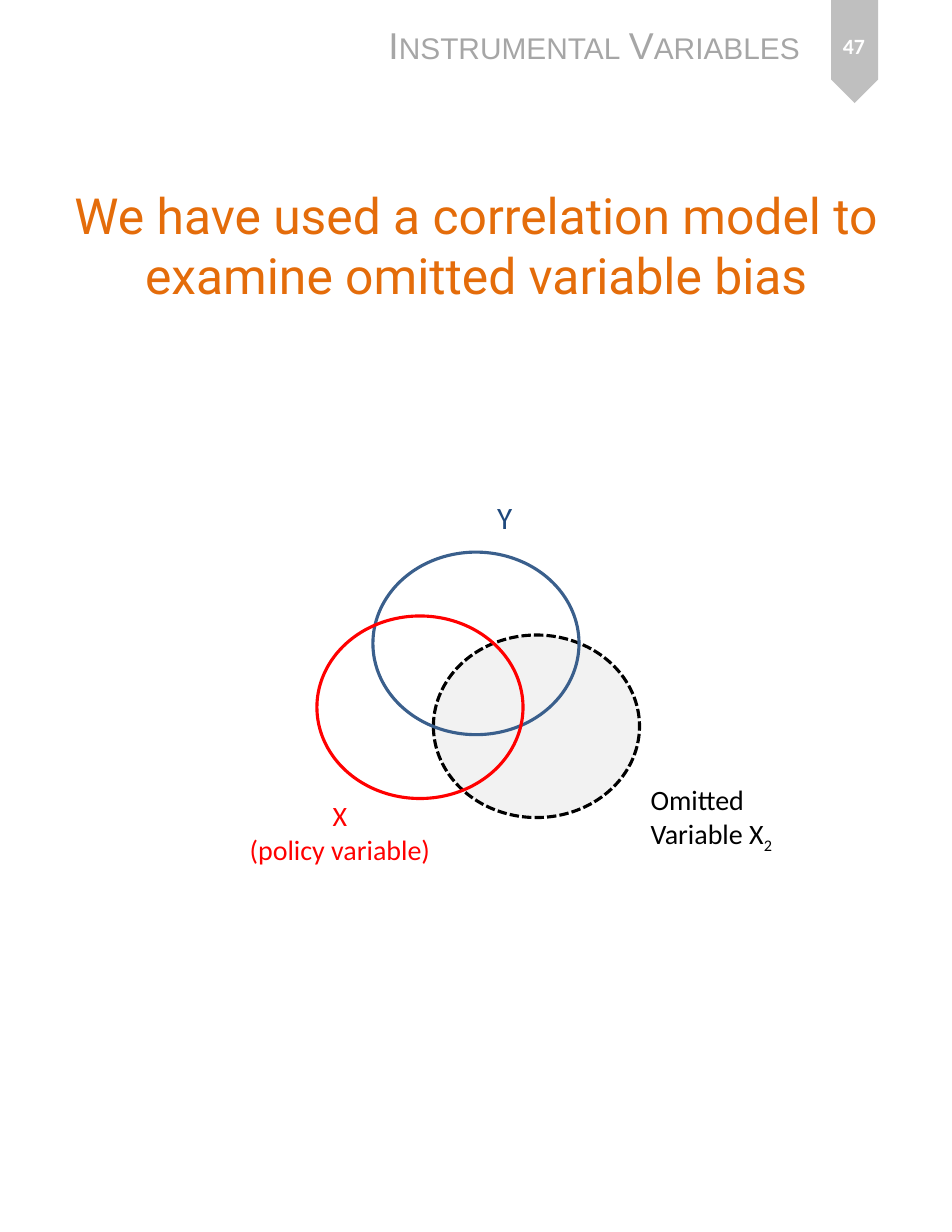
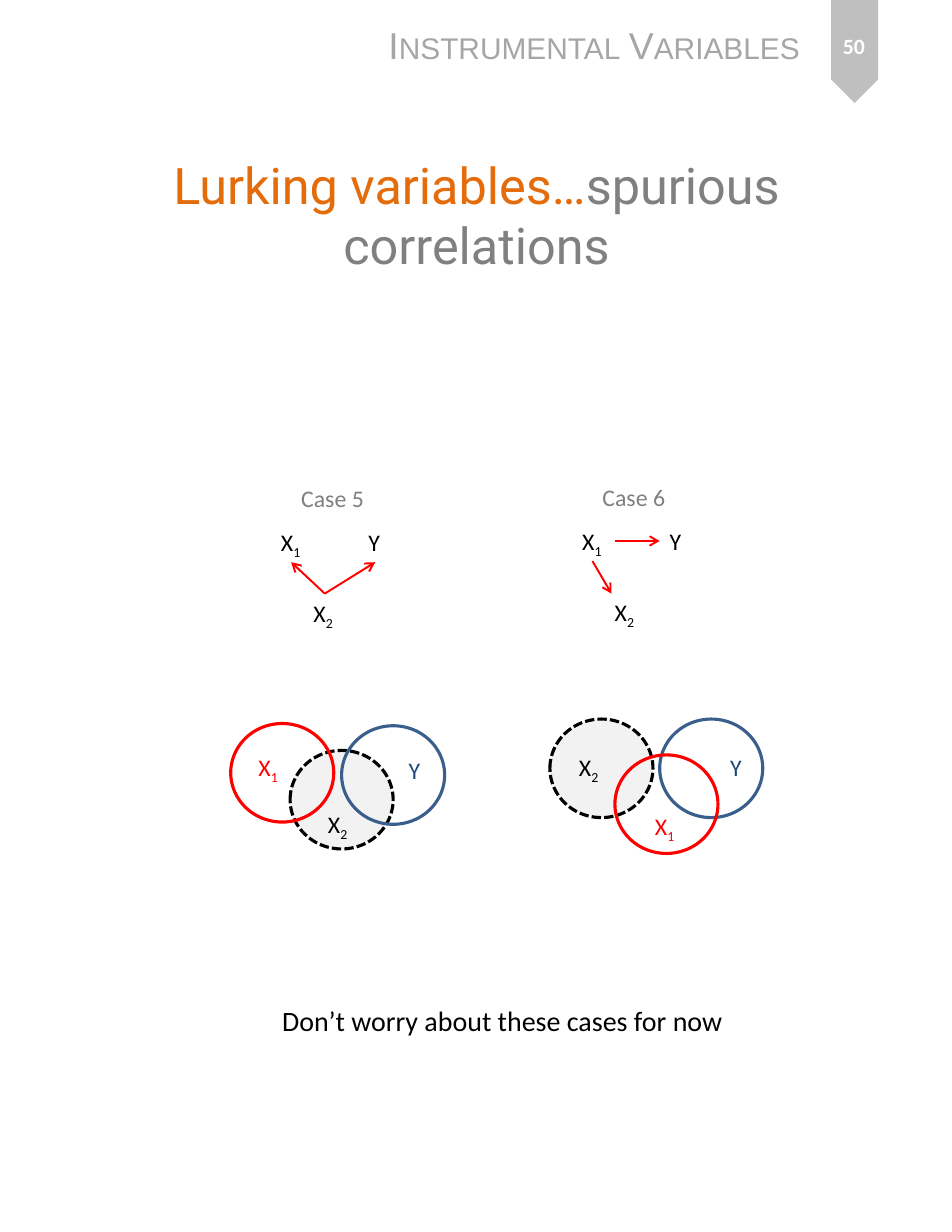
from lxml import etree
from pptx import Presentation
from pptx.dml.color import RGBColor
from pptx.enum.dml import MSO_LINE
from pptx.enum.shapes import MSO_CONNECTOR, MSO_SHAPE
from pptx.enum.text import MSO_ANCHOR, MSO_AUTO_SIZE, PP_ALIGN
from pptx.oxml.ns import qn
from pptx.util import Inches, Pt

ORANGE = RGBColor(0xE4, 0x6C, 0x0A)
GREY = RGBColor(0x80, 0x80, 0x80)
HEADER_GREY = RGBColor(0xA6, 0xA6, 0xA6)
TAB_GREY = RGBColor(0xBF, 0xBF, 0xBF)
PALE_GREY = RGBColor(0xF2, 0xF2, 0xF2)
BLUE = RGBColor(0x3A, 0x5F, 0x8C)
NAVY = RGBColor(0x1F, 0x49, 0x7D)
RED = RGBColor(0xFF, 0x00, 0x00)
BLACK = RGBColor(0x00, 0x00, 0x00)
WHITE = RGBColor(0xFF, 0xFF, 0xFF)

CASE_SIZE = 15.3
LABEL_HEIGHT = 0.36

# Variable: outline colour, fill colour, dashed
CIRCLE_STYLES = {
    "omitted": (BLACK, PALE_GREY, True),
    "outcome": (BLUE, None, False),
    "policy": (RED, None, False),
}
# Variable: label, label colour, label width
CIRCLE_LABELS = {
    "outcome": ("Y", NAVY, 0.37),
    "policy": ("X_1", RED, 0.40),
    "omitted": ("X_2", BLACK, 0.42),
}


def put_text(slide, box, *lines, size=18, color=BLACK, font="Calibri", bold=False,
             align=PP_ALIGN.LEFT, anchor=MSO_ANCHOR.TOP, wrap=False, grow=True,
             small_caps=False, bottom=0.05):
    """Each line is a string or a list of (text, colour); _ starts a subscript."""
    frame = slide.shapes.add_textbox(*map(Inches, box)).text_frame
    frame.word_wrap = wrap
    frame.auto_size = MSO_AUTO_SIZE.SHAPE_TO_FIT_TEXT if grow else MSO_AUTO_SIZE.NONE
    frame.vertical_anchor = anchor
    frame.margin_bottom = Inches(bottom)
    for index, line in enumerate(lines):
        paragraph = frame.add_paragraph() if index else frame.paragraphs[0]
        paragraph.alignment = align
        parts = [(line, color)] if isinstance(line, str) else line
        for text, part_color in parts:
            for level, piece in enumerate(text.split("_")):
                run = paragraph.add_run()
                run.text = piece
                run.font.name = font
                run.font.size = Pt(size)
                run.font.bold = bold
                run.font.color.rgb = part_color
                properties = run._r.get_or_add_rPr()
                if level:
                    properties.set("baseline", "-25000")
                if small_caps:
                    properties.set("cap", "small")


def add_frame(slide, page, title, **title_format):
    """Header, page tab and title, shared by all slides."""
    tab = slide.shapes.add_shape(MSO_SHAPE.PENTAGON, *map(Inches, (7.17, 0.25, 0.92, 0.42)))
    tab.rotation = 90
    tab.shadow.inherit = False
    tab.fill.solid()
    tab.fill.fore_color.rgb = TAB_GREY
    tab.line.fill.background()
    put_text(slide, (3.37, 0.15, 3.89, 0.5), "Instrumental Variables", size=24,
             font="Arial", color=HEADER_GREY, small_caps=True)
    put_text(slide, (0.43, 1.27, 7.65, 1.83), title, font="Roboto", color=ORANGE,
             align=PP_ALIGN.CENTER, anchor=MSO_ANCHOR.MIDDLE, wrap=True, grow=False,
             **title_format)
    put_text(slide, (7.29, 0.11, 0.67, 0.59), page, size=14, color=WHITE, bold=True,
             align=PP_ALIGN.CENTER, anchor=MSO_ANCHOR.MIDDLE, wrap=True, grow=False)


def add_circles(slide, origin, size, places):
    """Overlapping circles, back to front, placed relative to origin."""
    left, top = origin
    for variable, (outline, fill, dashed) in CIRCLE_STYLES.items():
        x, y = places[variable]
        circle = slide.shapes.add_shape(
            MSO_SHAPE.OVAL, *map(Inches, (left + x, top + y, *size)))
        circle.shadow.inherit = False
        if fill is None:
            circle.fill.background()
        else:
            circle.fill.solid()
            circle.fill.fore_color.rgb = fill
        circle.line.color.rgb = outline
        circle.line.width = Pt(2)
        if dashed:
            circle.line.dash_style = MSO_LINE.SQUARE_DOT


def add_arrow(slide, start, end):
    arrow = slide.shapes.add_connector(
        MSO_CONNECTOR.STRAIGHT, *map(Inches, (*start, *end)))
    arrow.line.color.rgb = RED
    arrow.line.width = Pt(1.25)
    etree.SubElement(arrow.line._get_or_add_ln(), qn("a:tailEnd"), type="arrow")
    etree.SubElement(arrow._element.spPr, qn("a:effectLst"))


def add_causal_paths(slide, origin, case, arrows):
    """Case name, three variables and the arrows between them."""
    left, top = origin
    put_text(slide, (left + 0.18, top, 0.77, LABEL_HEIGHT), case,
             size=CASE_SIZE, color=GREY)
    for variable, x, y, width in (("Y", 0.78, 0.39, 0.31), ("X_1", 0, 0.39, 0.39),
                                  ("X_2", 0.29, 1.03, 0.39)):
        put_text(slide, (left + x, top + y, width, LABEL_HEIGHT), variable, size=CASE_SIZE)
    for x1, y1, x2, y2 in arrows:
        add_arrow(slide, (left + x1, top + y1), (left + x2, top + y2))


def add_case_venn(slide, origin, places, label_places):
    """Small circles with a label inside each."""
    left, top = origin
    add_circles(slide, origin, (0.92, 0.88), places)
    for variable, (label, color, width) in CIRCLE_LABELS.items():
        x, y = label_places[variable]
        put_text(slide, (left + x, top + y, width, LABEL_HEIGHT), label,
                 size=CASE_SIZE, color=color, wrap=True)


def build_bias_slide(slide):
    add_frame(slide, "47", "We have used a correlation model to examine omitted variable bias",
              size=32)
    left, top = 2.83, 4.4
    add_circles(slide, (left, top), (1.84, 1.63),
                {"omitted": (1.04, 1.27), "outcome": (0.5, 0.53), "policy": (0, 1.1)})
    put_text(slide, (left + 1.51, top, 0.34, 0.44), "Y", size=20, color=NAVY)
    put_text(slide, (left - 0.71, top + 2.68, 1.83, 0.71), "X", "(policy variable)",
             color=RED, align=PP_ALIGN.CENTER)
    put_text(slide, (left + 2.88, top + 2.54, 1.31, 0.71), "Omitted", "Variable X_2")


def build_cases_slide(slide):
    add_frame(slide, "50", [("Lurking variables…", ORANGE), ("spurious correlations", GREY)],
              size=32.4, bottom=0.59)

    # Case 5: the omitted variable drives both others
    add_causal_paths(slide, (2.41, 4.27), "Case 5",
                     [(0.49, 1.03, 0.19, 0.75), (0.49, 1.03, 0.94, 0.75)])
    add_case_venn(slide, (2.06, 6.46),
                  {"omitted": (0.53, 0.24), "outcome": (0.99, 0.02), "policy": (0, 0)},
                  {"omitted": (0.77, 0.72), "outcome": (1.49, 0.24), "policy": (0.15, 0.21)})

    # Case 6: the policy variable drives both others
    add_causal_paths(slide, (5.1, 4.26), "Case 6",
                     [(0.39, 0.57, 0.79, 0.57), (0.19, 0.75, 0.36, 1.04)])
    add_case_venn(slide, (4.91, 6.42),
                  {"omitted": (0, 0), "outcome": (0.98, 0), "policy": (0.58, 0.32)},
                  {"omitted": (0.16, 0.25), "outcome": (1.51, 0.25), "policy": (0.84, 0.78)})

    put_text(slide, (2.42, 8.91, 4.18, 0.4), "Don’t worry about these cases for now")


def main():
    deck = Presentation()
    deck.slide_width, deck.slide_height = Inches(8.5), Inches(11)
    blank = deck.slide_layouts[6]
    for build in (build_bias_slide, build_cases_slide):
        build(deck.slides.add_slide(blank))
    deck.save("out.pptx")


if __name__ == "__main__":
    main()
